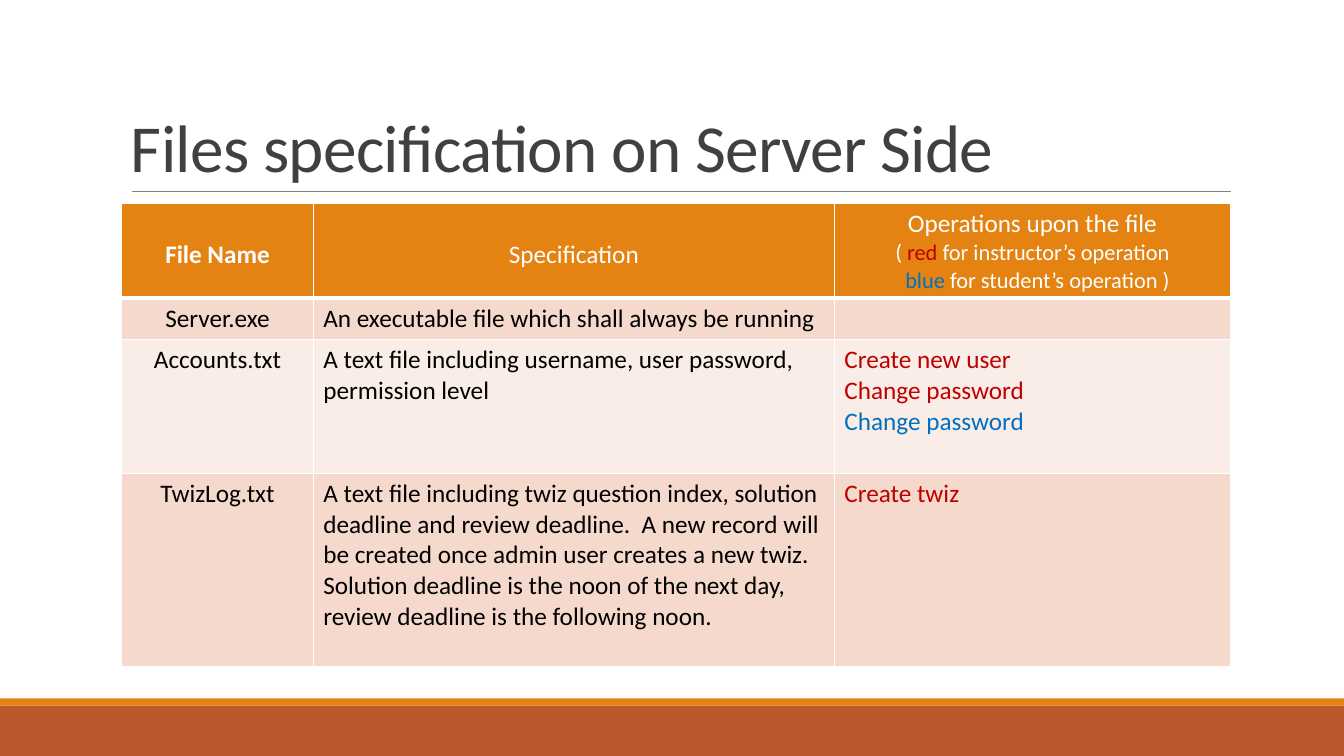
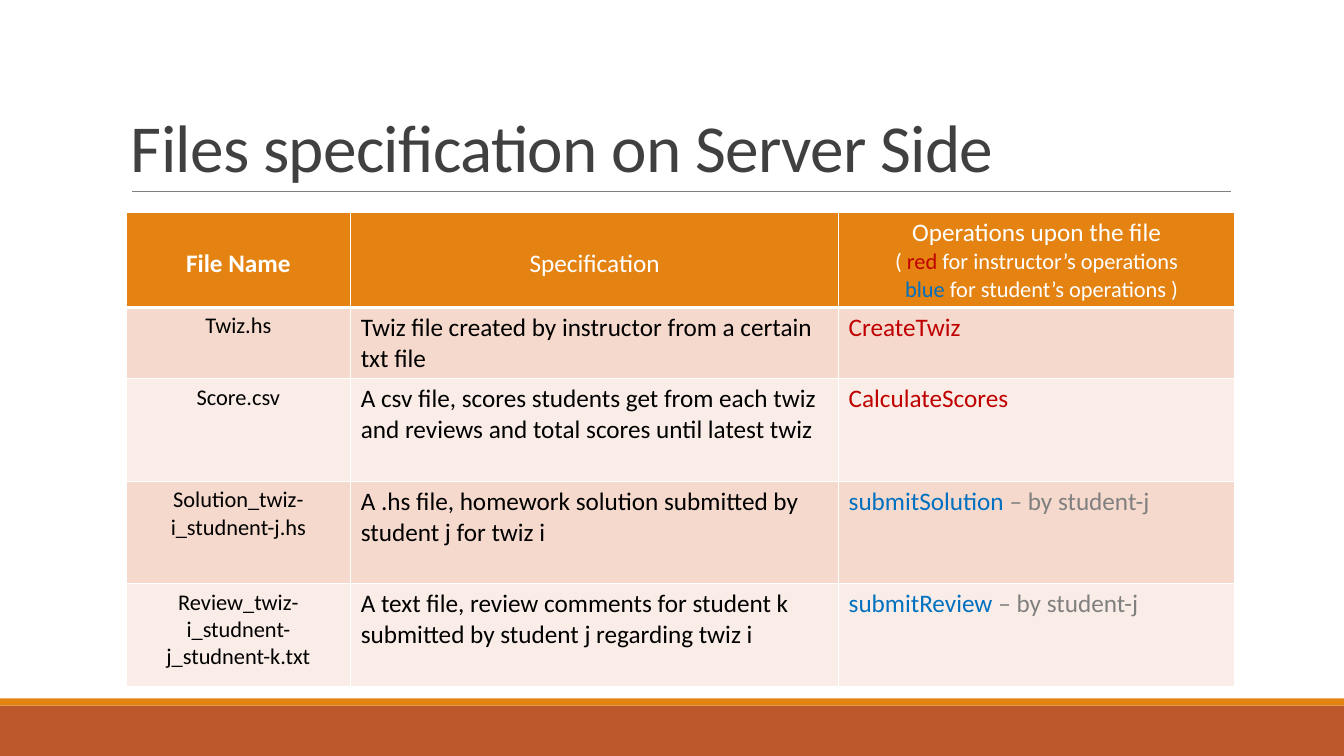
from dataclasses import dataclass

from lxml import etree
from pptx import Presentation
from pptx.dml.color import RGBColor
from pptx.enum.shapes import MSO_CONNECTOR, MSO_SHAPE
from pptx.enum.text import MSO_ANCHOR, PP_ALIGN
from pptx.oxml.ns import qn
from pptx.util import Inches, Pt

RECT, STRAIGHT = MSO_SHAPE.RECTANGLE, MSO_CONNECTOR.STRAIGHT
LEFT, CENTER = PP_ALIGN.LEFT, PP_ALIGN.CENTER
TOP, BOTTOM = MSO_ANCHOR.TOP, MSO_ANCHOR.BOTTOM

# Every length below counts columns or rows of this slide grid
COLS, ROWS = 160, 90


@dataclass(frozen=True)
class Theme:
    font: str = "Calibri"
    title_size: int = 48
    body_size: int = 18
    small_size: int = 16
    title: str = "404040"
    body: str = "000000"
    white: str = "FFFFFF"
    grey: str = "808080"
    instructor: str = "C00000"
    student: str = "0070C0"
    accent: str = "E48312"
    footer: str = "BD582C"
    stripes: tuple = ("F5D9CC", "FAEDE7")
    thin: float = 1
    thick: float = 3


THEME = Theme()


class Deck:
    """Holds the theme and the slide being built."""

    def __init__(self, theme):
        self.theme = theme
        self.prs = Presentation()
        self.prs.slide_width, self.prs.slide_height = Inches(13.33), Inches(7.5)
        self.slide = None

    def x(self, columns):
        return round(self.prs.slide_width * columns / COLS)

    def y(self, rows):
        return round(self.prs.slide_height * rows / ROWS)

    def box(self, left, top, width, height):
        return self.x(left), self.y(top), self.x(width), self.y(height)

    def new_slide(self, title):
        self.slide = self.prs.slides.add_slide(self.prs.slide_layouts[6])
        self.band(84, 6, self.theme.footer)
        self.band(83.16, 0.84, self.theme.accent)
        self.rule(15.72, 146.52, 22.8)
        self.title(title)

    def band(self, top, height, colour):
        band = self.slide.shapes.add_shape(RECT, *self.box(0, top, COLS, height))
        band.shadow.inherit = False
        band.fill.solid()
        band.fill.fore_color.rgb = RGBColor.from_string(colour)
        band.line.fill.background()

    def rule(self, start, end, top):
        rule = self.slide.shapes.add_connector(
            STRAIGHT, self.x(start), self.y(top), self.x(end), self.y(top))
        rule.line.color.rgb = RGBColor.from_string(self.theme.grey)
        rule.line.width = Pt(0.5)
        etree.SubElement(rule.element.spPr, qn("a:effectLst"))

    def title(self, text):
        frame = self.slide.shapes.add_textbox(*self.box(14.4, 3.72, 132, 19.08)).text_frame
        for name, value in {"word_wrap": True, "vertical_anchor": BOTTOM}.items():
            setattr(frame, name, value)
        heading = frame.paragraphs[0]
        heading.line_spacing = 0.85
        run = self.run(heading, text, self.theme.title, self.theme.title_size)
        run.font._element.set("spc", "-50")

    def run(self, paragraph, text, colour, size, bold=False):
        run = paragraph.add_run()
        run.text = text
        style = {"name": self.theme.font, "size": Pt(size), "bold": bold}
        for name, value in style.items():
            setattr(run.font, name, value)
        run.font.color.rgb = RGBColor.from_string(colour)
        return run

    def paragraphs(self, cell, lines, size, align=LEFT, bold=False):
        """Each line is a list of (text, colour) runs."""
        frame = cell.text_frame
        for index, line in enumerate(lines):
            paragraph = frame.paragraphs[0] if index == 0 else frame.add_paragraph()
            paragraph.alignment = align
            for text, colour in line:
                self.run(paragraph, text, colour, size, bold)
        return frame.paragraphs

    def cell_style(self, cell, fill, top, bottom):
        cell.vertical_anchor = TOP
        properties = cell._tc.get_or_add_tcPr()
        borders = {"lnL": self.theme.thin, "lnR": self.theme.thin, "lnT": top, "lnB": bottom}
        for side, width in borders.items():
            line = etree.SubElement(properties, qn(f"a:{side}"), w=str(Pt(width)))
            solid = etree.SubElement(line, qn("a:solidFill"))
            etree.SubElement(solid, qn("a:srgbClr"), val=self.theme.white)
        cell.fill.solid()
        cell.fill.fore_color.rgb = RGBColor.from_string(fill)

    def header(self, cells, noun):
        t = self.theme
        for cell, label, bold in zip(cells, ("File Name", "Specification"), (True, False)):
            self.paragraphs(cell, [[(label, t.white)]], t.body_size, CENTER, bold)
            cell.margin_top = self.y(4.26)
        self.paragraphs(cells[2], [[("Operations upon the file", t.white)]],
                        t.body_size, CENTER)
        legend = [
            [("( ", t.white), ("red ", t.instructor), (f"for instructor’s {noun}", t.white)],
            [("blue", t.student), (f" for student’s {noun} )", t.white)],
        ]
        for line, indent in zip(legend, (0, 1.2)):
            paragraph = cells[2].text_frame.add_paragraph()
            paragraph.alignment = CENTER
            paragraph._p.get_or_add_pPr().set("marL", str(self.x(indent)))
            for text, colour in line:
                self.run(paragraph, text, colour, t.small_size)

    def file_table(self, left, top, widths, heights, noun, files, name_size):
        t = self.theme
        table = self.slide.shapes.add_table(
            len(heights), len(widths),
            *self.box(left, top, sum(widths), sum(heights))).table
        for flag in ("first_row", "horz_banding"):
            setattr(table, flag, False)
        for column, width in zip(table.columns, widths):
            column.width = self.x(width)
        for index, (row, height) in enumerate(zip(table.rows, heights)):
            row.height = self.y(height)
            fill = t.stripes[(index - 1) % 2] if index else t.accent
            for cell in row.cells:
                self.cell_style(cell, fill, t.thick if index == 1 else t.thin,
                                t.thin if index else t.thick)
        self.header(list(table.rows[0].cells), noun)
        for index, (name, specification, operations) in enumerate(files, 1):
            name_cell, specification_cell, operations_cell = table.rows[index].cells
            self.paragraphs(name_cell, [[(name, t.body)]], name_size, CENTER)
            self.paragraphs(specification_cell, [[(specification, t.body)]], t.body_size)
            self.paragraphs(operations_cell, operations, t.body_size)


TITLE = "Files specification on Server Side"
HEADER_HEIGHT = 11.28

# Files as (name, specification, operations)
SYSTEM_FILES = [
    ("Server.exe", "An executable file which shall always be running", []),
    ("Accounts.txt", "A text file including username, user password, permission level",
     [[("Create new user", THEME.instructor)],
      [("Change password", THEME.instructor)],
      [("Change password", THEME.student)]]),
    ("TwizLog.txt",
     "A text file including twiz question index, solution deadline and review deadline.  "
     "A new record will be created once admin user creates a new twiz. Solution deadline "
     "is the noon of the next day, review deadline is the following noon.",
     [[("Create twiz", THEME.instructor)]]),
]
TWIZ_FILES = [
    ("Twiz.hs", "Twiz file created by instructor from a certain txt file",
     [[("CreateTwiz", THEME.instructor)]]),
    ("Score.csv",
     "A csv file, scores students get from each twiz and reviews and total scores "
     "until latest twiz",
     [[("CalculateScores", THEME.instructor)]]),
    ("Solution_twiz-i_studnent-j.hs",
     "A .hs file, homework solution submitted by student j for twiz i",
     [[("submitSolution ", THEME.student), ("– by student-j", THEME.grey)]]),
    ("Review_twiz-i_studnent-j_studnent-k.txt",
     "A text file, review comments for student k submitted by student j regarding twiz i",
     [[("submitReview", THEME.student), (" – by student-j", THEME.grey)]]),
]


def main():
    deck = Deck(THEME)

    # Server program, accounts and log
    deck.new_slide(TITLE)
    deck.file_table(14.5, 24.24, (22.8, 62.04, 47.16), (HEADER_HEIGHT, 4.92, 15.9, 23),
                    "operation", SYSTEM_FILES, THEME.body_size)

    # Files of each twiz
    deck.new_slide(TITLE)
    deck.file_table(15, 25.32, (26.76, 58.08, 47.16), (HEADER_HEIGHT, 8.5, *[12.2] * 3),
                    "operations", TWIZ_FILES, THEME.small_size)

    deck.prs.save("out.pptx")


if __name__ == "__main__":
    main()
